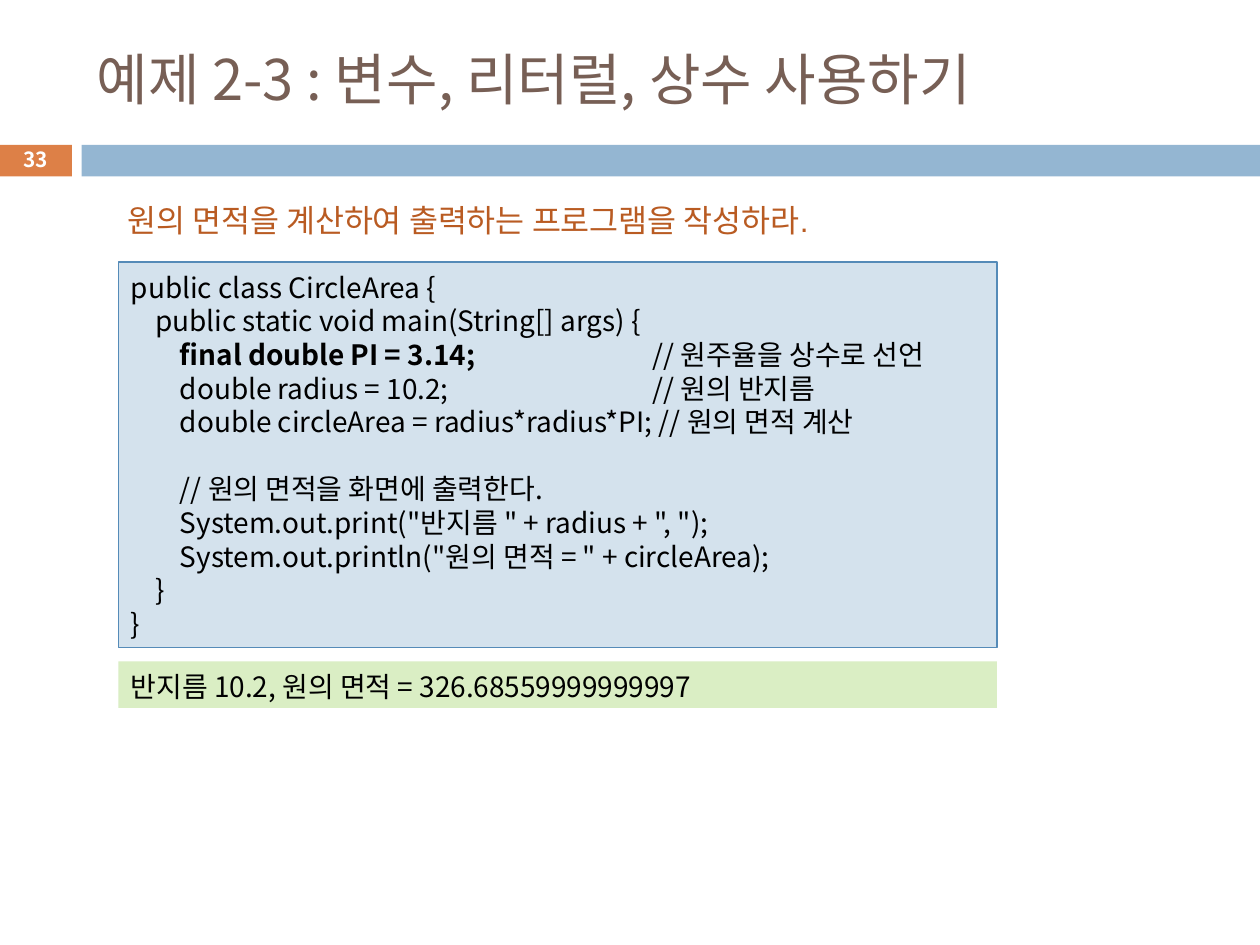
from pptx import Presentation
from pptx.dml.color import RGBColor as Rgb
from pptx.enum.shapes import MSO_SHAPE as Kind
from pptx.enum.text import MSO_ANCHOR as Anchor, PP_ALIGN as Align
from pptx.util import Pt
from lxml.etree import SubElement as Sub
from pptx.oxml.ns import qn

HUES = {"orange": "DD8047", "blue": "94B6D2", "brown": "775F55", "pale": "D4E2ED",
        "edge": "558BB8", "rust": "B95B22", "green": "DAEEC4", "black": "000000",
        "white": "FFFFFF"}
FONT = "Noto Sans CJK KR"
STOPS = (14, 28, 298)
CODE = [
    "public class CircleArea {",
    "\tpublic static void main(String[] args) {",
    ("\t\t", "final double PI = 3.14;", "\t// 원주율을 상수로 선언"),
    "\t\tdouble radius = 10.2;\t// 원의 반지름",
    "\t\tdouble circleArea = radius*radius*PI; // 원의 면적 계산",
    "",
    "\t\t// 원의 면적을 화면에 출력한다.",
    "\t\tSystem.out.print(\"반지름 \" + radius + \", \");",
    "\t\tSystem.out.println(\"원의 면적 = \" + circleArea);",
    "\t}",
    "}",
]


class Page:
    """Holds the style and the current slide."""

    def __init__(self, deck):
        self.slide = deck.slides.add_slide(deck.slide_layouts[6])

    def hue(self, name):
        return Rgb.from_string(HUES[name])

    def bar(self, box, fill, edge=None):
        shape = self.slide.shapes.add_shape(Kind.RECTANGLE, *map(Pt, box))
        shape.shadow.inherit = False
        shape.fill.solid()
        shape.fill.fore_color.rgb = self.hue(fill)
        if edge:
            shape.line.color.rgb = self.hue(edge)
            shape.line.width = Pt(0.75)
        else:
            shape.line.fill.background()
        return shape

    def label(self, box, *args, **more):
        self.letter(self.slide.shapes.add_textbox(*map(Pt, box)), *args, **more)

    def letter(self, shape, lines, size, color, font=FONT, bold=False,
               align=Align.LEFT, pitch=None, stops=()):
        frame = shape.text_frame
        frame.word_wrap = True
        frame.vertical_anchor = Anchor.TOP if pitch else Anchor.MIDDLE
        frame.margin_top = Pt(4.7 if pitch else 3.6)
        for i, line in enumerate(lines):
            para = frame.add_paragraph() if i else frame.paragraphs[0]
            para.alignment = align
            if pitch:
                para.line_spacing = Pt(pitch)
            if stops:
                tabs = Sub(para._p.get_or_add_pPr(), qn("a:tabLst"))
                for stop in stops:
                    Sub(tabs, qn("a:tab"), pos=str(Pt(stop)), algn="l")
            para.font.size = Pt(size)
            parts = (line,) if isinstance(line, str) else line
            for j, part in enumerate(parts):
                run = para.add_run()
                run.text = part
                run.font.name = font
                run.font.size = Pt(size)
                run.font.bold = bold or j == 1
                run.font.color.rgb = self.hue(color)
                Sub(run._r.get_or_add_rPr(), qn("a:ea"), typeface=FONT)


def main():
    deck = Presentation()
    deck.slide_width, deck.slide_height = Pt(720), Pt(540)
    page = Page(deck)
    page.bar((-0.7, 82.8, 41.8, 18), "orange")
    page.bar((46.6, 82.8, 673.4, 18), "blue")
    page.label((48.2, 18, 642.2, 53.3), ["예제 2-3 : 변수, 리터럴, 상수 사용하기"], 32, "brown")
    code = page.bar((67.7, 149.8, 502, 220.2), "pale", "edge")
    page.letter(code, CODE, 16, "black", pitch=19.2, stops=STOPS)
    page.label((65.5, 110.2, 456, 28.8), ["원의 면적을 계산하여 출력하는 프로그램을 작성하라."],
               18, "rust", font="Arial", pitch=21.6)
    result = page.bar((67.7, 378, 502, 26.6), "green")
    page.letter(result, ["반지름 10.2, 원의 면적 = 326.68559999999997"], 16, "black", pitch=19.2)
    page.label((-0.7, 81.4, 41.8, 19.4), ["33"], 11.9, "white", bold=True, align=Align.CENTER)
    deck.save("out.pptx")


if __name__ == "__main__":
    main()
